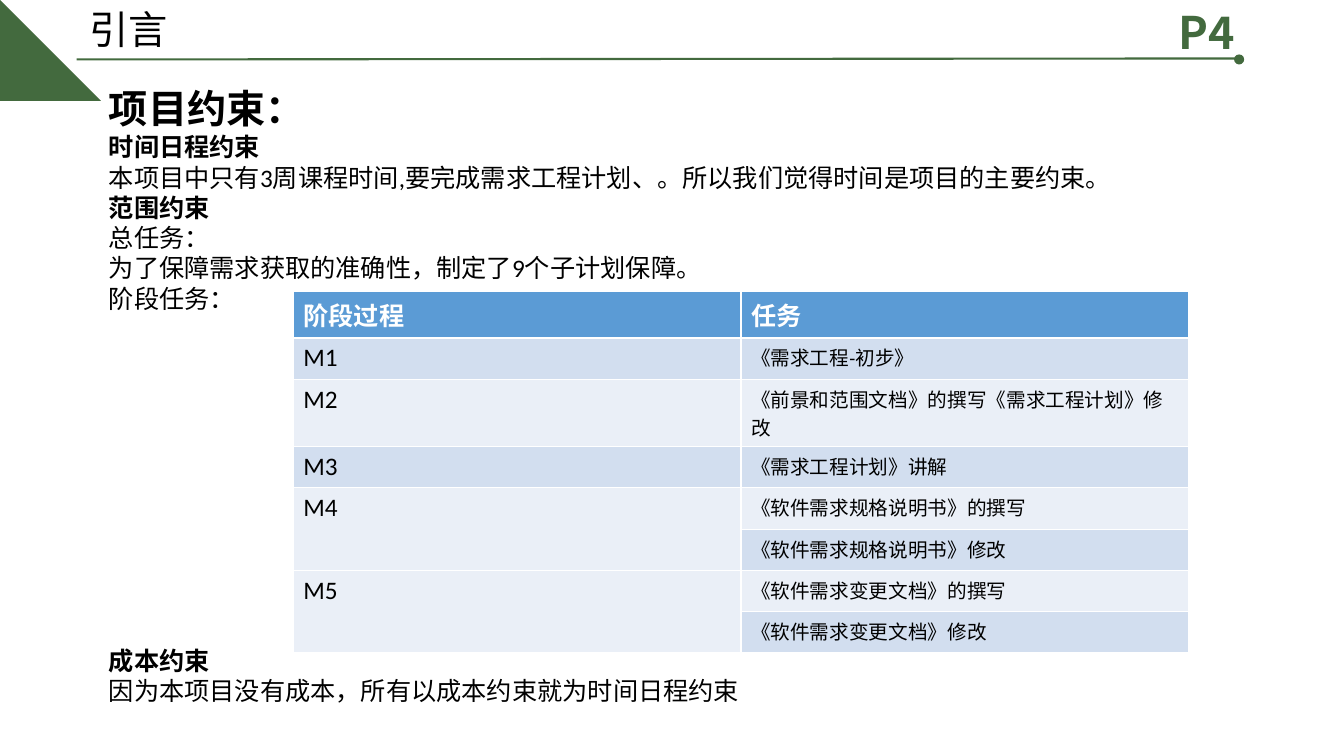
from lxml import etree
from pptx import Presentation
from pptx.dml.color import RGBColor
from pptx.enum.shapes import MSO_CONNECTOR, MSO_SHAPE
from pptx.enum.text import MSO_ANCHOR, MSO_AUTO_SIZE, PP_ALIGN
from pptx.oxml.ns import qn
from pptx.util import Inches, Pt

GREEN = RGBColor(0x43, 0x6A, 0x3E)
BLACK = RGBColor(0x00, 0x00, 0x00)
WHITE = RGBColor(0xFF, 0xFF, 0xFF)
HEADER_BLUE = RGBColor(0x5B, 0x9B, 0xD5)
BAND_DARK = RGBColor(0xD2, 0xDE, 0xEF)
BAND_LIGHT = RGBColor(0xEA, 0xEF, 0xF7)
LATIN, HEADING = "Calibri", "Noto Sans CJK SC"

TITLE, PAGE_MARK = "引言", "P4"
TABLE_GAP = 237  # points left free for the table

# text, size, bold, space before
CONSTRAINTS = [
    ("项目约束：", 28, True, 0),
    ("时间日程约束", 18, True, 0),
    ("本项目中只有3周课程时间,要完成需求工程计划、。所以我们觉得时间是项目的主要约束。", 18, False, 0),
    ("范围约束", 18, True, 0),
    ("总任务：", 18, False, 0),
    ("为了保障需求获取的准确性，制定了9个子计划保障。", 18, False, 0),
    ("阶段任务：", 18, False, 0),
    ("成本约束", 18, True, TABLE_GAP),
    ("因为本项目没有成本，所有以成本约束就为时间日程约束", 18, False, 0),
]
HEADERS = ("阶段过程", "任务")
STAGES = [
    ("M1", ["《需求工程-初步》"]),
    ("M2", ["《前景和范围文档》的撰写《需求工程计划》修改"]),
    ("M3", ["《需求工程计划》讲解"]),
    ("M4", ["《软件需求规格说明书》的撰写", "《软件需求规格说明书》修改"]),
    ("M5", ["《软件需求变更文档》的撰写", "《软件需求变更文档》修改"]),
]
ARROW_OUTLINE = [(0, 0), (0.23, 0), (0.81, 0.59), (0.81, 0.61), (0, 1.42)]


def write(para, text, size=18, font=LATIN, color=BLACK, bold=False):
    span = para.add_run()
    span.text = text
    span.font.size = Pt(size)
    span.font.name = font
    span.font.color.rgb = color
    span.font.bold = bold


def place(box, left, top, width, height):
    box.left, box.top = Inches(left), Inches(top)
    box.width, box.height = Inches(width), Inches(height)
    box.text_frame.word_wrap = True
    box.text_frame.auto_size = MSO_AUTO_SIZE.NONE
    box.text_frame.vertical_anchor = MSO_ANCHOR.TOP


def paint(shape):
    shape.shadow.inherit = False
    shape.fill.solid()
    shape.fill.fore_color.rgb = GREEN
    shape.line.fill.background()


def add_header(page):
    builder = page.shapes.build_freeform(0, 0, scale=Inches(1))
    builder.add_line_segments(ARROW_OUTLINE[1:], close=True)
    paint(builder.convert_to_shape())

    rule = page.shapes.add_connector(
        MSO_CONNECTOR.STRAIGHT, Inches(0.76), Inches(0.59), Inches(12.27), Inches(0.58))
    rule.line.color.rgb = GREEN
    rule.line.width = Pt(1.5)
    etree.SubElement(rule._element.spPr, qn("a:effectLst"))
    paint(page.shapes.add_shape(
        MSO_SHAPE.OVAL, Inches(12.24), Inches(0.54), Inches(0.1), Inches(0.1)))

    title = page.shapes.title
    place(title, 0.79, 0, 4.38, 0.57)
    heading = title.text_frame.paragraphs[0]
    heading.alignment = PP_ALIGN.LEFT
    write(heading, TITLE, size=28, font=HEADING)

    mark = page.shapes.add_textbox(0, 0, 0, 0)
    place(mark, 11.59, 0, 0.9, 0.64)
    write(mark.text_frame.paragraphs[0], PAGE_MARK, size=32, font=HEADING,
          color=GREEN, bold=True)


def add_constraints(page):
    body = page.placeholders[1]
    place(body, 0.98, 0.79, 11.28, 6.4)
    frame = body.text_frame
    for index, (text, size, bold, gap) in enumerate(CONSTRAINTS):
        para = frame.add_paragraph() if index else frame.paragraphs[0]
        para.space_before = Pt(gap)
        layout = para._p.get_or_add_pPr()
        layout.set("marL", "0")
        layout.set("indent", "0")
        etree.SubElement(layout, qn("a:buNone"))
        write(para, text, size=size, bold=bold)


def fill_cell(cell, text, fill, **style):
    cell.fill.solid()
    cell.fill.fore_color.rgb = fill
    if text:
        write(cell.text_frame.paragraphs[0], text, **style)


def add_stage_table(page):
    row_count = 1 + sum(len(tasks) for _, tasks in STAGES)
    height = Inches(3.7)
    frame = page.shapes.add_table(
        row_count, 2, Inches(2.91), Inches(2.89), Inches(8.88), height)
    table = frame.table
    for row in table.rows:
        row.height = Inches(0.41)
    frame.height = height

    for column, text in enumerate(HEADERS):
        fill_cell(table.cell(0, column), text, HEADER_BLUE, color=WHITE, bold=True)
    row = 1
    for stage, tasks in STAGES:
        for offset, task in enumerate(tasks):
            band = BAND_DARK if (row + offset) % 2 else BAND_LIGHT
            fill_cell(table.cell(row + offset, 0), "" if offset else stage, band)
            fill_cell(table.cell(row + offset, 1), task, band, size=14)
        last = row + len(tasks) - 1
        if last > row:
            table.cell(row, 0).merge(table.cell(last, 0))
        row = last + 1


def main():
    deck = Presentation()
    deck.slide_width, deck.slide_height = Inches(13.33), Inches(7.5)
    page = deck.slides.add_slide(deck.slide_layouts[1])
    add_header(page)
    add_constraints(page)
    add_stage_table(page)
    deck.save("out.pptx")


if __name__ == "__main__":
    main()
